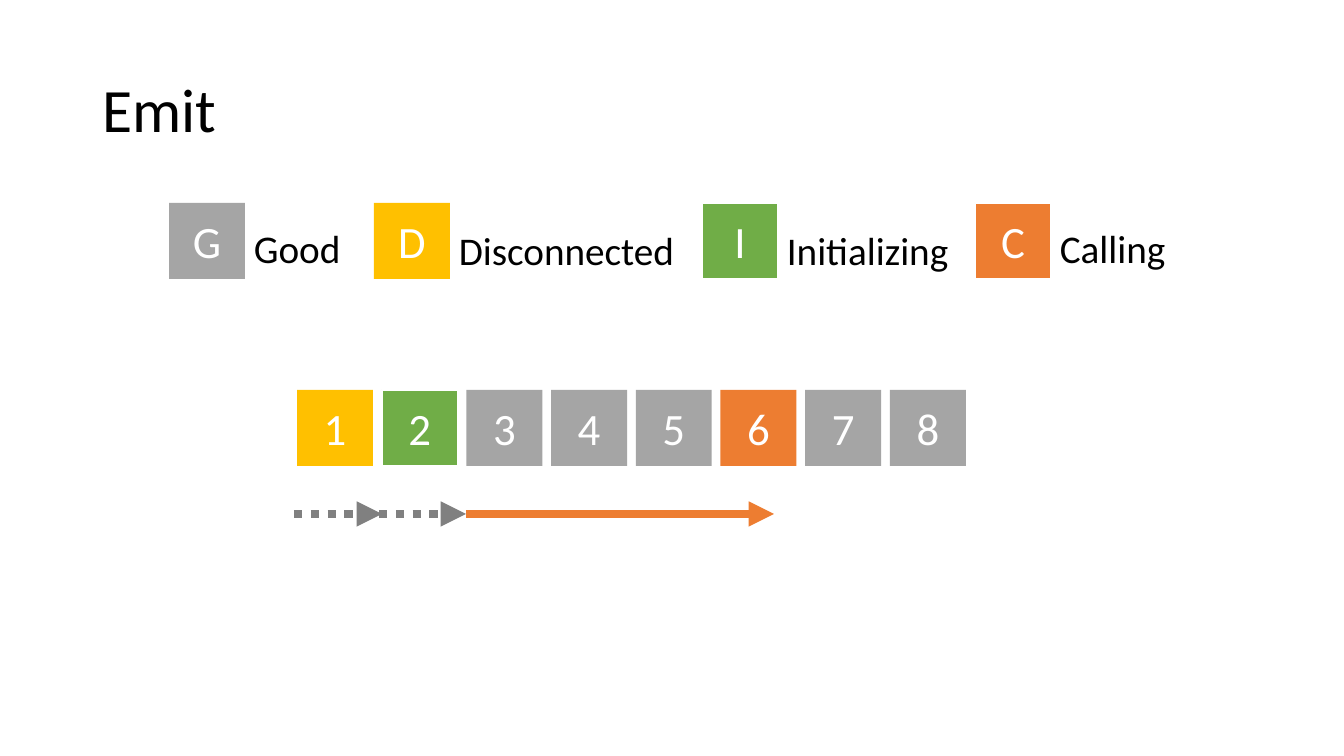
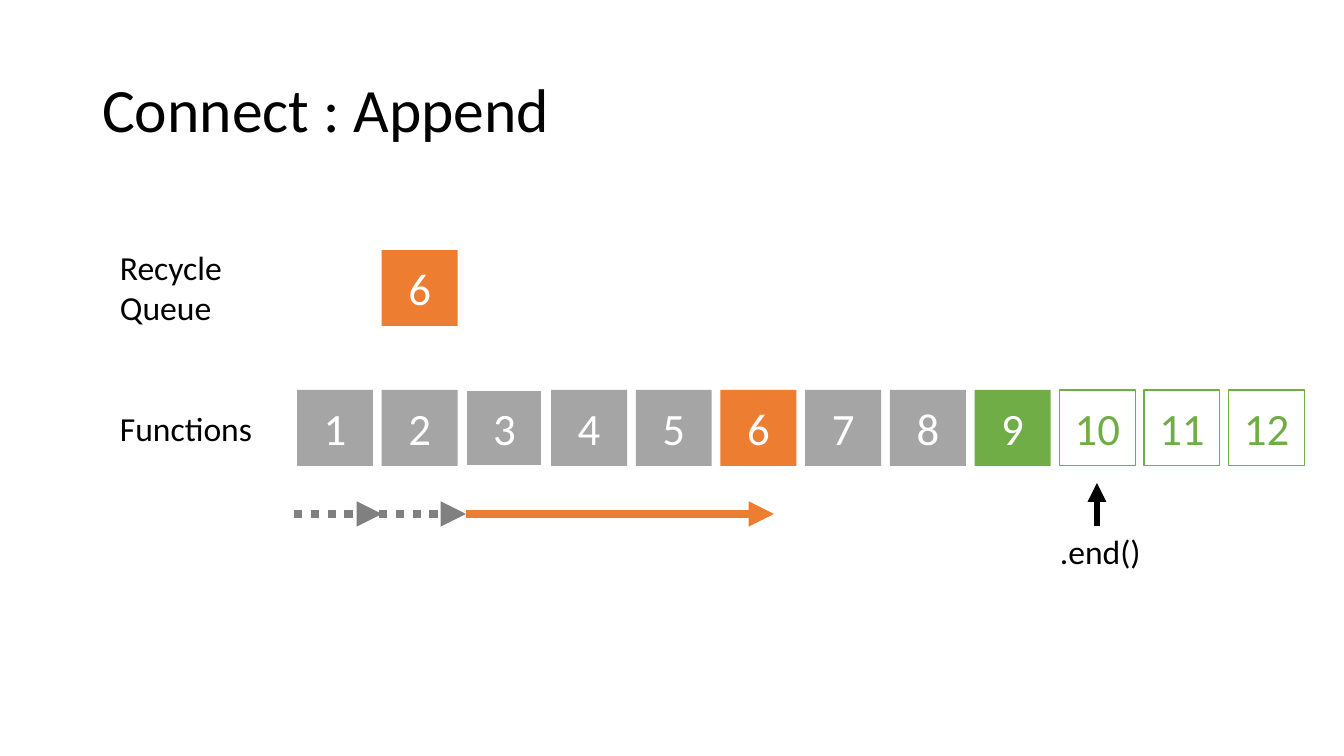
"""Build two slides that explain emitting to and appending to a function list."""
import dataclasses
import typing

import pptx
import pptx.dml.color
import pptx.enum.dml
import pptx.enum.shapes
import pptx.enum.text
import pptx.oxml.ns
import pptx.oxml.xmlchemy
import pptx.slide
import pptx.text.text
import pptx.util
import lxml.etree

PIXEL = 914400 / 100.8
TILE_SIZE = 76
ROW_LEFT, ROW_TOP, ROW_PITCH = 297, 390, 84.7
ARROW_Y = 514
Align = pptx.enum.text.PP_ALIGN
Anchor = pptx.enum.text.MSO_ANCHOR
Fit = pptx.enum.text.MSO_AUTO_SIZE


@dataclasses.dataclass(frozen=True)
class Theme:
    font: str = "Calibri"
    black: str = "000000"
    white: str = "FFFFFF"
    grey: str = "A5A5A5"
    dark_grey: str = "808080"
    yellow: str = "FFC000"
    green: str = "70AD47"
    orange: str = "ED7D31"
    title_size: int = 44
    tile_size: int = 32
    legend_size: int = 28
    label_size: int = 24


THEME = Theme()


@dataclasses.dataclass(frozen=True)
class Style:
    fill: typing.Optional[str]
    ink: str = THEME.white
    line: typing.Optional[str] = None
    line_width: float = 1.5


GOOD = Style(THEME.grey)
GOOD_RIMMED = Style(THEME.grey, line=THEME.white)
DISCONNECTED = Style(THEME.yellow)
INITIALIZING = Style(THEME.green, line=THEME.white)
CALLING = Style(THEME.orange)
CALLING_RIMMED = Style(THEME.orange, line=THEME.white)
ADDED = Style(THEME.green)
VACANT = Style(None, ink=THEME.green, line=THEME.green, line_width=0.75)


@dataclasses.dataclass(frozen=True)
class LegendEntry:
    letter: str
    label: str
    left: int
    label_top: int
    style: Style


@dataclasses.dataclass(frozen=True)
class Arrow:
    start: tuple[int, int]
    end: tuple[int, int]
    colour: str
    width: float = 6
    dotted: bool = False


LEGEND = (
    LegendEntry("G", "Good", 169, 219, GOOD),
    LegendEntry("D", "Disconnected", 374, 221, DISCONNECTED),
    LegendEntry("I", "Initializing", 702, 221, INITIALIZING),
    LegendEntry("C", "Calling", 975, 219, CALLING_RIMMED),
)
EMIT_ROW = (DISCONNECTED, INITIALIZING, GOOD, GOOD, GOOD, CALLING, GOOD, GOOD)
APPEND_ROW = (GOOD, GOOD, GOOD_RIMMED, GOOD, GOOD, CALLING, GOOD, GOOD,
              ADDED, VACANT, VACANT, VACANT)
CALL_ARROWS = (
    Arrow((466, ARROW_Y), (774, ARROW_Y), THEME.orange),
    Arrow((294, ARROW_Y), (382, ARROW_Y), THEME.dark_grey, dotted=True),
    Arrow((379, ARROW_Y), (466, ARROW_Y), THEME.dark_grey, dotted=True),
)


def px(length: float) -> pptx.util.Emu:
    return pptx.util.Emu(round(length * PIXEL))


def rgb(colour: str) -> pptx.dml.color.RGBColor:
    return pptx.dml.color.RGBColor.from_string(colour)


def write(frame: pptx.text.text.TextFrame, text: str, *, size: int,
          colour: str = THEME.black, align: Align = Align.LEFT,
          anchor: Anchor = Anchor.TOP, fit: Fit = Fit.NONE,
          spacing: typing.Optional[float] = None) -> None:
    frame.word_wrap = True
    frame.auto_size = fit
    frame.vertical_anchor = anchor
    para = frame.paragraphs[0]
    para.alignment = align
    para.line_spacing = spacing
    span = para.add_run()
    span.text = text
    span.font.name = THEME.font
    span.font.size = pptx.util.Pt(size)
    span.font.color.rgb = rgb(colour)


def add_page(deck: pptx.presentation.Presentation, title: str) -> pptx.slide.Slide:
    page = deck.slides.add_slide(deck.slide_layouts[5])
    box = page.shapes.title
    box.left, box.top, box.width, box.height = map(px, (92, 40, 1159, 146))
    write(box.text_frame, title, size=THEME.title_size, anchor=Anchor.MIDDLE,
          spacing=0.9)
    return page


def add_label(page: pptx.slide.Slide, text: str, left: int, top: int,
              width: int, height: int, size: int) -> None:
    box = page.shapes.add_textbox(px(left), px(top), px(width), px(height))
    write(box.text_frame, text, size=size, fit=Fit.SHAPE_TO_FIT_TEXT)


def add_tile(page: pptx.slide.Slide, text: str, left: float, top: int,
             style: Style) -> None:
    tile = page.shapes.add_shape(pptx.enum.shapes.MSO_SHAPE.RECTANGLE, px(left),
                                 px(top), px(TILE_SIZE), px(TILE_SIZE))
    tile.shadow.inherit = False
    if style.fill:
        tile.fill.solid()
        tile.fill.fore_color.rgb = rgb(style.fill)
    else:
        tile.fill.background()
    if style.line:
        tile.line.color.rgb = rgb(style.line)
        tile.line.width = pptx.util.Pt(style.line_width)
    else:
        tile.line.fill.background()
    write(tile.text_frame, text, size=THEME.tile_size, colour=style.ink,
          align=Align.CENTER, anchor=Anchor.MIDDLE)


def add_arrow(page: pptx.slide.Slide, arrow: Arrow) -> None:
    connector = page.shapes.add_connector(
        pptx.enum.shapes.MSO_CONNECTOR.STRAIGHT,
        *map(px, arrow.start + arrow.end))
    line = connector.line
    line.color.rgb = rgb(arrow.colour)
    line.width = pptx.util.Pt(arrow.width)
    if arrow.dotted:
        line.dash_style = pptx.enum.dml.MSO_LINE.ROUND_DOT
    properties = connector._element.spPr
    outline = properties.find(pptx.oxml.ns.qn("a:ln"))
    lxml.etree.SubElement(outline, pptx.oxml.ns.qn("a:tailEnd"), type="triangle")
    lxml.etree.SubElement(properties, pptx.oxml.ns.qn("a:effectLst"))


def slot_left(index: int) -> float:
    return ROW_LEFT + index * ROW_PITCH


def add_function_row(page: pptx.slide.Slide, styles: tuple[Style, ...]) -> None:
    for index, style in enumerate(styles):
        add_tile(page, str(index + 1), slot_left(index), ROW_TOP, style)
    for arrow in CALL_ARROWS:
        add_arrow(page, arrow)


def add_emit_page(deck: pptx.presentation.Presentation) -> None:
    page = add_page(deck, "Emit")
    for entry in LEGEND:
        add_tile(page, entry.letter, entry.left, 203, entry.style)
        add_label(page, entry.label, entry.left + TILE_SIZE - 1, entry.label_top,
                  285, 57, THEME.legend_size)
    add_function_row(page, EMIT_ROW)


def add_append_page(deck: pptx.presentation.Presentation) -> None:
    page = add_page(deck, "Connect : Append")
    add_label(page, "Recycle Queue", 110, 242, 178, 92, THEME.label_size)
    add_tile(page, "6", slot_left(1), 250, CALLING)
    add_label(page, "Functions", 110, 403, 178, 50, THEME.label_size)
    add_function_row(page, APPEND_ROW)
    add_label(page, ".end()", 1050, 526, 142, 50, THEME.label_size)
    add_arrow(page, Arrow((1097, 526), (1097, 483), THEME.black, width=4.5))


def main() -> None:
    deck = pptx.Presentation()
    deck.slide_width, deck.slide_height = px(1344), px(756)
    add_emit_page(deck)
    add_append_page(deck)
    deck.save("out.pptx")


main()
